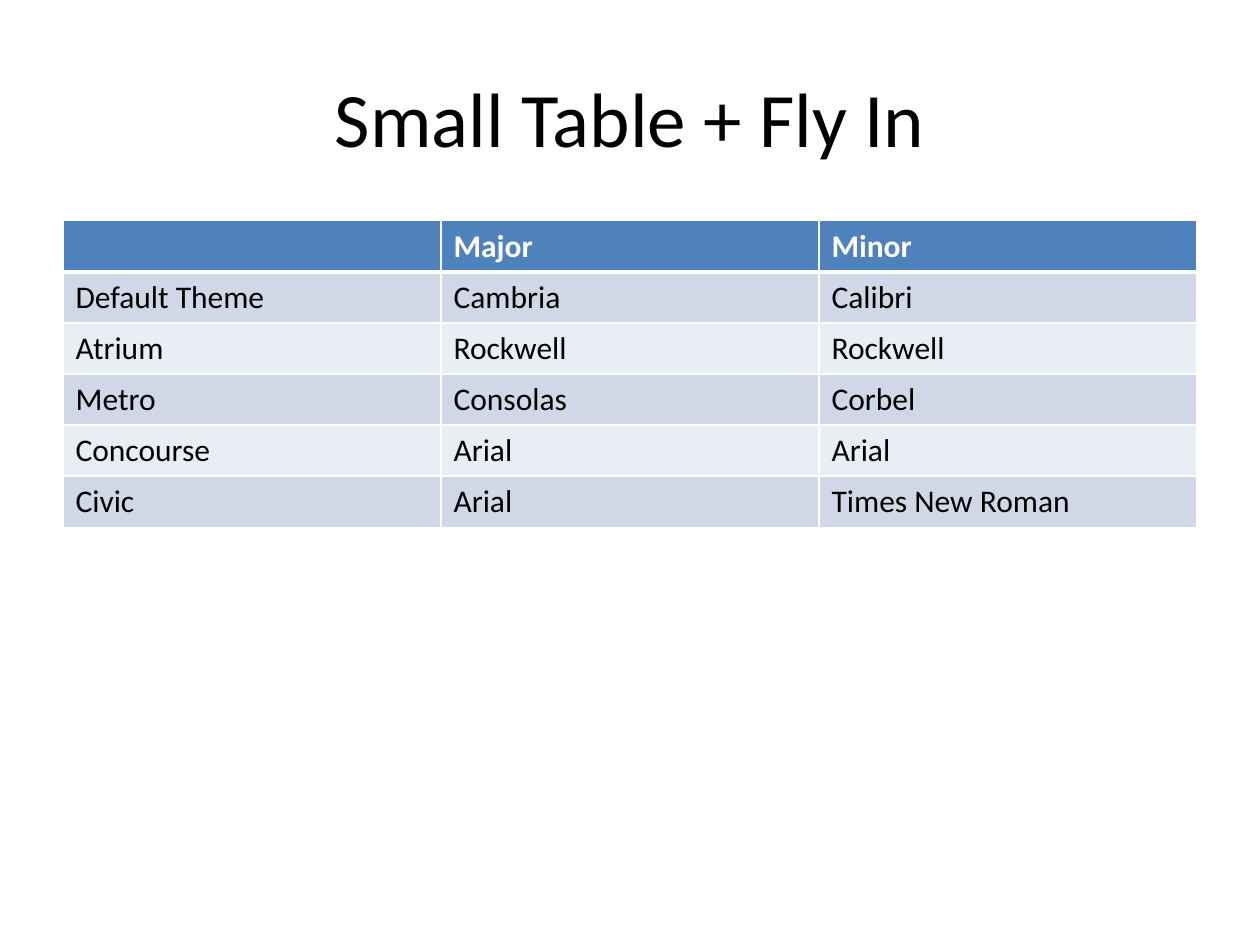
from lxml import etree
from pptx import Presentation
from pptx.dml.color import RGBColor
from pptx.enum.text import MSO_ANCHOR, PP_ALIGN
from pptx.oxml.ns import qn
from pptx.util import Cm, Pt

LEFT = PP_ALIGN.LEFT
CENTER = PP_ALIGN.CENTER
MIDDLE = MSO_ANCHOR.MIDDLE

FONT = "Calibri"
BLACK = "000000"
WHITE = "FFFFFF"
HEADER_FILL = "4F81BD"
BAND_FILLS = ("D0D8E8", "E9EDF4")
MARGIN = 1.27
WIDTH = 22.86
TABLE_HEIGHT = 6.1

ROWS = [
    ("", "Major", "Minor"),
    ("Default Theme", "Cambria", "Calibri"),
    ("Atrium", "Rockwell", "Rockwell"),
    ("Metro", "Consolas", "Corbel"),
    ("Concourse", "Arial", "Arial"),
    ("Civic", "Arial", "Times New Roman"),
]


def rgb(value):
    return RGBColor.from_string(value)


def set_text(tf, text, size=18, color=BLACK, bold=False, align=LEFT):
    p = tf.paragraphs[0]
    p.alignment = align
    if not text:
        p.font.size = Pt(size)
        return
    r = p.add_run()
    r.text = text
    r.font.name = FONT
    r.font.size = Pt(size)
    r.font.bold = bold
    r.font.color.rgb = rgb(color)


def set_border(cell, side, width, color=WHITE):
    tc_pr = cell._tc.get_or_add_tcPr()
    ln = etree.SubElement(tc_pr, qn(f"a:ln{side}"), w=str(Pt(width)))
    fill = etree.SubElement(ln, qn("a:solidFill"))
    etree.SubElement(fill, qn("a:srgbClr"), val=color)


def add_title(s, text):
    sp = s.shapes.title
    sp.left, sp.top = Cm(MARGIN), Cm(0.76)
    sp.width, sp.height = Cm(WIDTH), Cm(3.18)
    sp.text_frame.vertical_anchor = MIDDLE
    set_text(sp.text_frame, text, size=44, align=CENTER)


def format_cell(cell, text, row):
    header = row == 0
    widths = {"L": 1, "R": 1, "T": 3 if row == 1 else 1, "B": 3 if header else 1}
    for side, width in widths.items():
        set_border(cell, side, width)
    cell.fill.solid()
    fill = HEADER_FILL if header else BAND_FILLS[(row - 1) % 2]
    cell.fill.fore_color.rgb = rgb(fill)
    set_text(cell.text_frame, text, color=WHITE if header else BLACK, bold=header)


def add_font_table(s, rows):
    frame = s.shapes.add_table(
        len(rows), len(rows[0]), Cm(MARGIN), Cm(4.45), Cm(WIDTH), Cm(TABLE_HEIGHT)
    )
    for i, row in enumerate(rows):
        for j, text in enumerate(row):
            format_cell(frame.table.cell(i, j), text, i)


def main():
    prs = Presentation()
    prs.slide_width, prs.slide_height = Cm(25.4), Cm(19.05)
    s = prs.slides.add_slide(prs.slide_layouts[5])
    add_title(s, "Small Table + Fly In")
    add_font_table(s, ROWS)
    prs.save("out.pptx")


if __name__ == "__main__":
    main()
